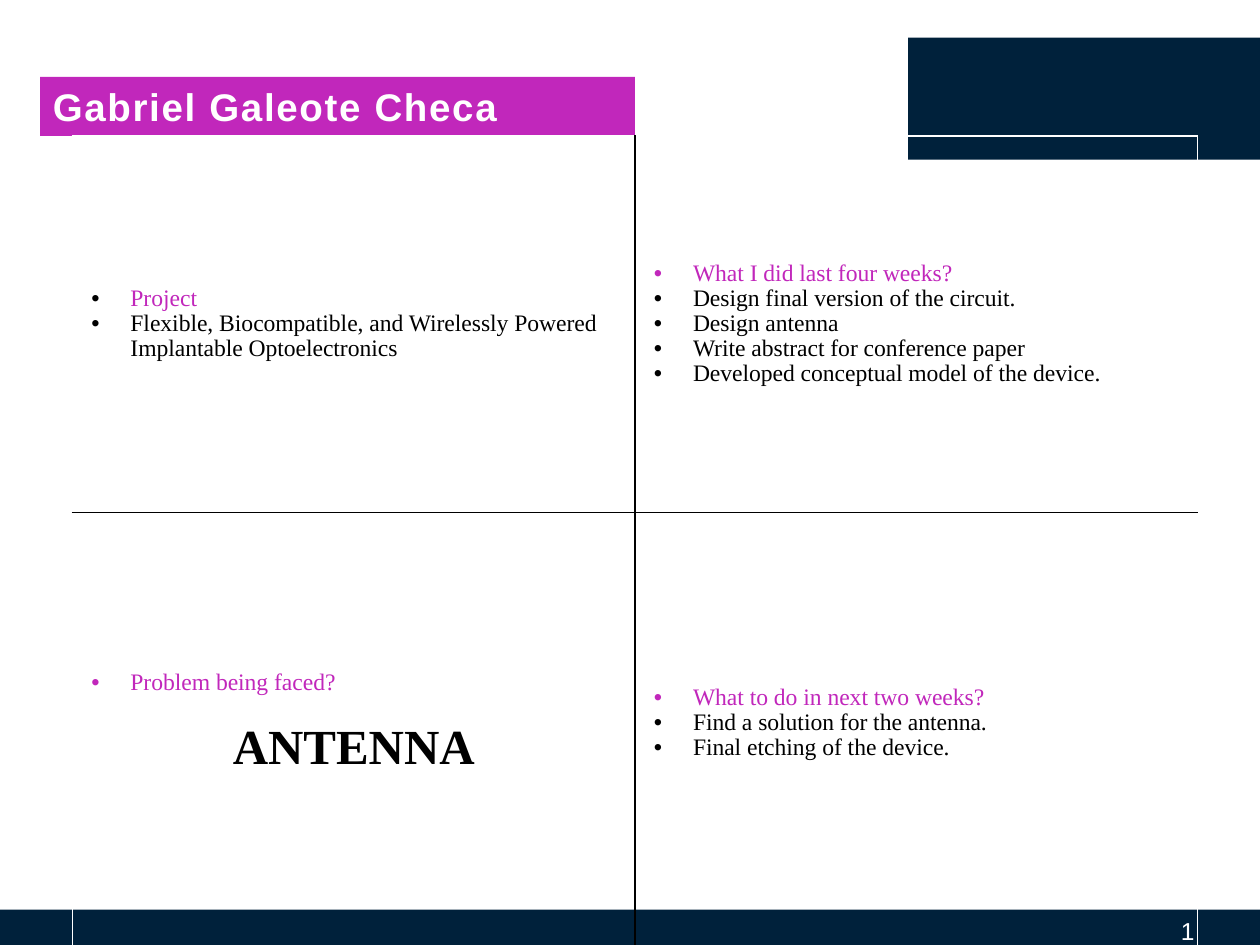
from lxml import etree
from pptx import Presentation
from pptx.dml.color import RGBColor
from pptx.enum.shapes import MSO_SHAPE
from pptx.enum.text import MSO_ANCHOR, MSO_AUTO_SIZE, PP_ALIGN
from pptx.oxml.ns import qn
from pptx.util import Cm, Pt

RECT = MSO_SHAPE.RECTANGLE
MIDDLE = MSO_ANCHOR.MIDDLE
LEFT, CENTER, RIGHT = PP_ALIGN.LEFT, PP_ALIGN.CENTER, PP_ALIGN.RIGHT
NAVY = RGBColor(0x00, 0x21, 0x3B)
PURPLE = RGBColor(0xC1, 0x27, 0xBB)
WHITE = RGBColor(0xFF, 0xFF, 0xFF)
BLACK = RGBColor(0x00, 0x00, 0x00)

TITLE = "Gabriel Galeote Checa"
PAGE = "1"
QUADRANTS = [
    [
        ["Project",
         "Flexible, Biocompatible, and Wirelessly Powered Implantable Optoelectronics"],
        ["What I did last four weeks?",
         "Design final version of the circuit.",
         "Design antenna",
         "Write abstract for conference paper",
         "Developed conceptual model of the device."],
    ],
    [
        ["Problem being faced?"],
        ["What to do in next two weeks?",
         "Find a solution for the antenna.",
         "Final etching of the device."],
    ],
]
PROBLEM = "ANTENNA"
BANDS = [(18.31, 0.76, 7.09, 2.46), (0, 18.34, 25.5, 0.79)]
COL_WIDTH = 11.34
ROW_HEIGHTS = [7.59, 8.99]
BOTTOM_MARGINS = [0.38, 0.89]

TITLE_FONT = {"name": "Arial", "size": Pt(22), "bold": True}
PAGE_FONT = {"name": "Arial", "size": Pt(14)}
BODY_FONT = {"name": "Times New Roman", "size": Pt(13.5), "bold": False}
PROBLEM_FONT = {"name": "Times New Roman", "size": Pt(28), "bold": True}


def write(p, text, font, color, align=LEFT):
    p.alignment = align
    r = p.add_run()
    r.text = text
    for key, value in font.items():
        setattr(r.font, key, value)
    r.font.color.rgb = color
    return r


def add_bullet(p, color):
    pPr = p._p.get_or_add_pPr()
    pPr.set("marL", str(Cm(0.79)))
    pPr.set("indent", str(-Cm(0.79)))
    clr = etree.SubElement(pPr, qn("a:buClr"))
    etree.SubElement(clr, qn("a:srgbClr"), val=str(color))
    etree.SubElement(pPr, qn("a:buFont"), typeface="Arial")
    etree.SubElement(pPr, qn("a:buChar"), char="•")


def set_borders(cell, row, col):
    inner = {"L": col == 1, "R": col == 0, "T": row == 1, "B": row == 0}
    tcPr = cell._tc.get_or_add_tcPr()
    for side, is_inner in inner.items():
        ln = etree.SubElement(tcPr, qn("a:ln" + side), w=str(Pt(1)))
        fill = etree.SubElement(ln, qn("a:solidFill"))
        etree.SubElement(fill, qn("a:srgbClr"), val=str(BLACK if is_inner else WHITE))


def fill_cell(cell, row, col):
    cell.vertical_anchor = MIDDLE
    cell.margin_left = cell.margin_right = cell.margin_top = Cm(0.38)
    cell.margin_bottom = Cm(BOTTOM_MARGINS[row])
    set_borders(cell, row, col)
    cell.fill.background()
    tf = cell.text_frame
    for i, text in enumerate(QUADRANTS[row][col]):
        p = tf.add_paragraph() if i else tf.paragraphs[0]
        p.line_spacing = 0.96
        color = BLACK if i else PURPLE
        write(p, text, BODY_FONT, color)
        add_bullet(p, BLACK if row == col == 0 else color)


prs = Presentation()
prs.slide_width, prs.slide_height = Cm(25.4), Cm(19.05)
s = prs.slides.add_slide(prs.slide_layouts[5])

for box in BANDS:
    sp = s.shapes.add_shape(RECT, *map(Cm, box))
    sp.shadow.inherit = False
    sp.fill.solid()
    sp.fill.fore_color.rgb = NAVY
    sp.line.fill.background()

sp = s.shapes.add_textbox(Cm(19.05), Cm(18.34), Cm(5.28), Cm(0.79))
sp.text_frame.word_wrap = True
write(sp.text_frame.paragraphs[0], PAGE, PAGE_FONT, WHITE, RIGHT)

table = s.shapes.add_table(2, 2, Cm(1.46), Cm(2.74), Cm(2 * COL_WIDTH),
                           Cm(sum(ROW_HEIGHTS))).table
table.first_row = table.horz_banding = False
for row, height in enumerate(ROW_HEIGHTS):
    table.rows[row].height = Cm(height)
    for col in range(2):
        table.columns[col].width = Cm(COL_WIDTH)
        fill_cell(table.cell(row, col), row, col)

p = table.cell(1, 0).text_frame.add_paragraph()
p.space_before = Pt(15)
write(p, PROBLEM, PROBLEM_FONT, BLACK, CENTER)

title = s.shapes.title
title.left, title.top, title.width, title.height = map(Cm, (0.81, 1.55, 11.99, 1.19))
title.fill.solid()
title.fill.fore_color.rgb = PURPLE
tf = title.text_frame
tf.auto_size = MSO_AUTO_SIZE.NONE
tf.vertical_anchor = MIDDLE
r = write(tf.paragraphs[0], TITLE, TITLE_FONT, WHITE)
r.font._element.set("spc", "100")

prs.save("out.pptx")
